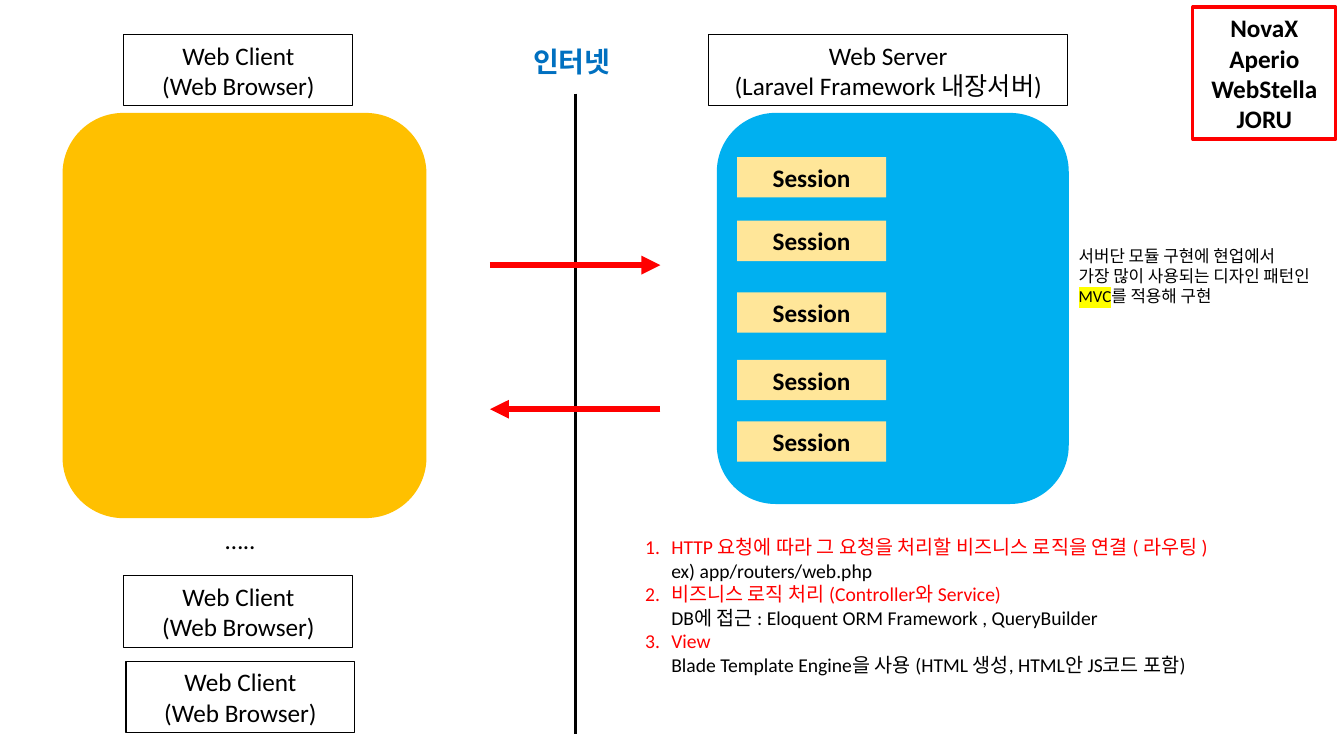
from lxml import etree
from pptx import Presentation
from pptx.dml.color import RGBColor
from pptx.enum.shapes import MSO_CONNECTOR, MSO_SHAPE
from pptx.enum.text import PP_ALIGN
from pptx.oxml.ns import qn
from pptx.util import Emu, Pt

RECT = MSO_SHAPE.RECTANGLE
ROUNDED = MSO_SHAPE.ROUNDED_RECTANGLE
STRAIGHT = MSO_CONNECTOR.STRAIGHT
CENTER = PP_ALIGN.CENTER
LEFT = PP_ALIGN.LEFT
BLACK, RED, YELLOW = "000000", "FF0000", "FFFF00"


def px(length):
    return Emu(length * 9144)


def color(value):
    return RGBColor.from_string(value)


class Diagram:
    font_name = "Calibri"

    def __init__(self, slide):
        self.slide = slide

    def style(self, run, size, ink, bold):
        formats = {"name": self.font_name, "size": Pt(size), "bold": bold}
        for attribute, value in formats.items():
            setattr(run.font, attribute, value)
        run.font.color.rgb = color(ink)

    def fill_text(self, frame, lines, size=18, ink=BLACK, bold=False, align=CENTER):
        frame.word_wrap = True
        for index, line in enumerate(lines):
            paragraph = frame.add_paragraph() if index else frame.paragraphs[0]
            paragraph.text = line
            paragraph.alignment = align
            for run in paragraph.runs:
                self.style(run, size, ink, bold)
        return frame

    def block(self, kind, box, lines=(), fill=None, line=None, weight=0.75, **text):
        shape = self.slide.shapes.add_shape(kind, *map(px, box))
        shape.shadow.inherit = False
        if fill:
            shape.fill.solid()
            shape.fill.fore_color.rgb = color(fill)
        else:
            shape.fill.background()
        if line:
            shape.line.color.rgb = color(line)
            shape.line.width = Pt(weight)
        else:
            shape.line.fill.background()
        self.fill_text(shape.text_frame, lines, **text)

    def label(self, box, lines, **text):
        textbox = self.slide.shapes.add_textbox(*map(px, box))
        return self.fill_text(textbox.text_frame, lines, **text)

    def steps(self, box, items, indent, size):
        lines = [
            line
            for number, (title, detail) in enumerate(items, 1)
            for line in (f"{number}.\t{title}", detail)
        ]
        frame = self.label(box, lines, size=size, align=LEFT)
        for index, paragraph in enumerate(frame.paragraphs):
            properties = paragraph._p.get_or_add_pPr()
            properties.set("marL", str(px(indent)))
            if index % 2 == 0:
                properties.set("indent", str(-px(indent)))
                for run in paragraph.runs:
                    run.font.color.rgb = color(RED)

    def highlighted(self, paragraph, text, size, marker):
        run = paragraph.add_run()
        run.text = text
        self.style(run, size, BLACK, False)
        highlight = etree.Element(qn("a:highlight"))
        etree.SubElement(highlight, qn("a:srgbClr"), val=marker)
        run._r.rPr.find(qn("a:solidFill")).addnext(highlight)

    def connect(self, start, end, ink, weight, arrow=False):
        connector = self.slide.shapes.add_connector(STRAIGHT, *map(px, start + end))
        connector.line.color.rgb = color(ink)
        connector.line.width = Pt(weight)
        properties = connector._element.spPr
        if arrow:
            etree.SubElement(properties.find(qn("a:ln")), qn("a:tailEnd"), type="triangle")
        etree.SubElement(properties, qn("a:effectLst"))


def main():
    presentation = Presentation()
    presentation.slide_width, presentation.slide_height = px(1333), px(750)
    diagram = Diagram(presentation.slides.add_slide(presentation.slide_layouts[6]))

    diagram.block(RECT, (703, 34, 356, 71),
                  ["Web Server\v(Laravel Framework 내장서버)"], line=BLACK)
    diagram.block(ROUNDED, (711, 112, 349, 388), fill="00B0F0")
    diagram.connect((571, 93), (571, 728), BLACK, 2.25)
    diagram.label((519, 39, 104, 44), ["인터넷"], size=20, ink="0070C0", bold=True, align=LEFT)
    diagram.block(RECT, (1183, 7, 142, 131), ["NovaX", "Aperio", "WebStella", "JORU"],
                  line=RED, weight=2.25, bold=True)

    diagram.block(ROUNDED, (62, 112, 361, 402), fill="FFC000")
    for left, top in ((123, 34), (123, 571), (125, 656)):
        diagram.block(RECT, (left, top, 227, 71), ["Web Client\v(Web Browser)"], line=BLACK)
    diagram.label((125, 515, 227, 40), ["….."])

    for top in (156, 219, 290, 357, 418):
        diagram.block(RECT, (731, top, 148, 40), ["Session"], fill="FFE699", bold=True)

    client_side, server_side = 486, 655
    for start, end, height in ((client_side, server_side, 263), (server_side, client_side, 406)):
        diagram.connect((start, height), (end, height), RED, 4.5, arrow=True)

    diagram.steps((630, 526, 703, 175), [
        ("HTTP 요청에 따라 그 요청을 처리할 비즈니스 로직을 연결 ( 라우팅 )",
         "ex) app/routers/web.php"),
        ("비즈니스 로직 처리 (Controller와 Service)",
         "DB에 접근 : Eloquent ORM Framework , QueryBuilder"),
        ("View",
         "Blade Template Engine을 사용 (HTML 생성, HTML안 JS코드 포함)"),
    ], indent=26, size=14)

    pattern_note = diagram.label((1060, 239, 273, 71), [
        "서버단 모듈 구현에 현업에서",
        "가장 많이 사용되는 디자인 패턴인",
    ], size=12, align=LEFT)
    mvc_line = pattern_note.add_paragraph()
    diagram.highlighted(mvc_line, "MVC", 12, YELLOW)
    closing = mvc_line.add_run()
    closing.text = "를 적용해 구현"
    diagram.style(closing, 12, BLACK, False)

    presentation.save("out.pptx")


if __name__ == "__main__":
    main()
